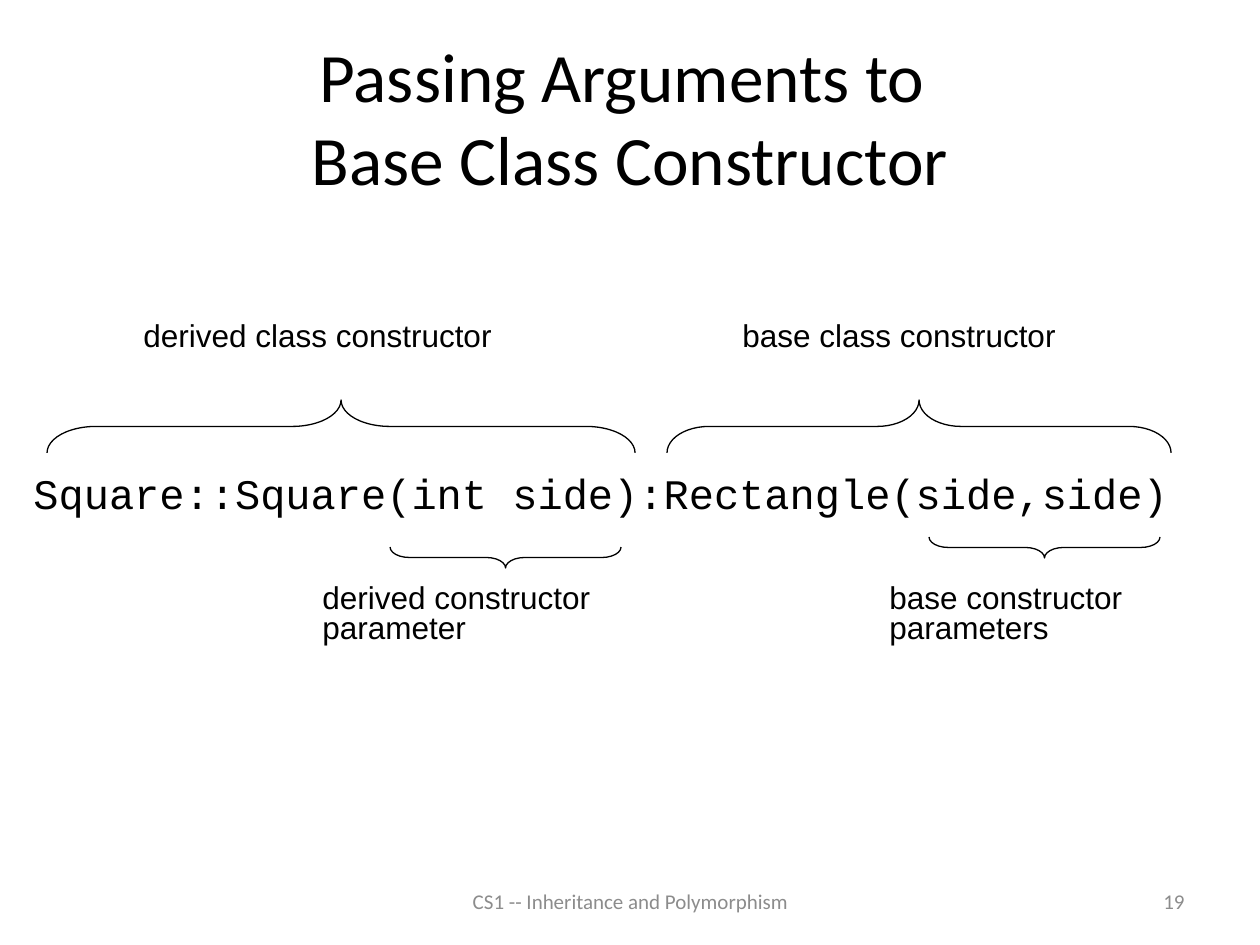
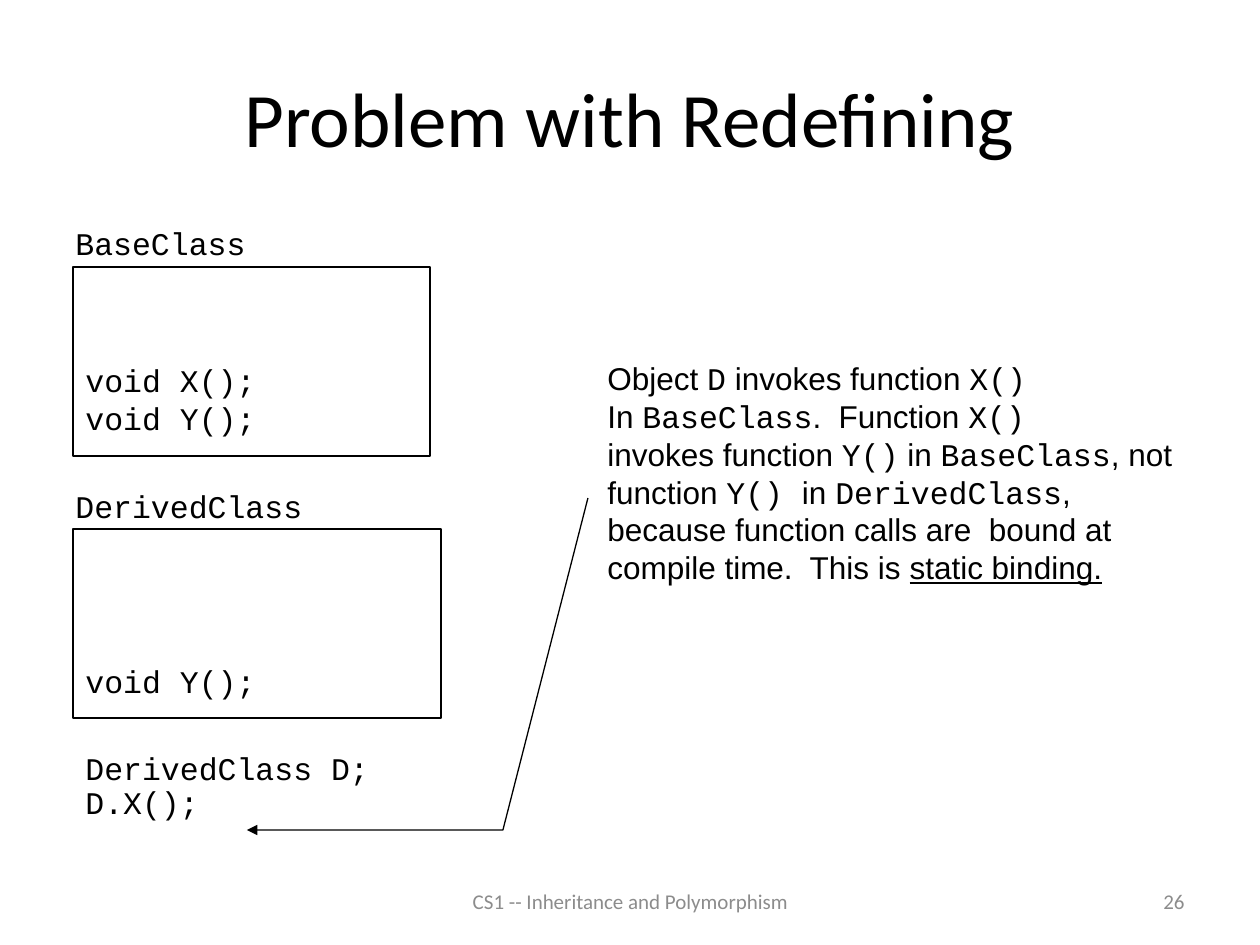
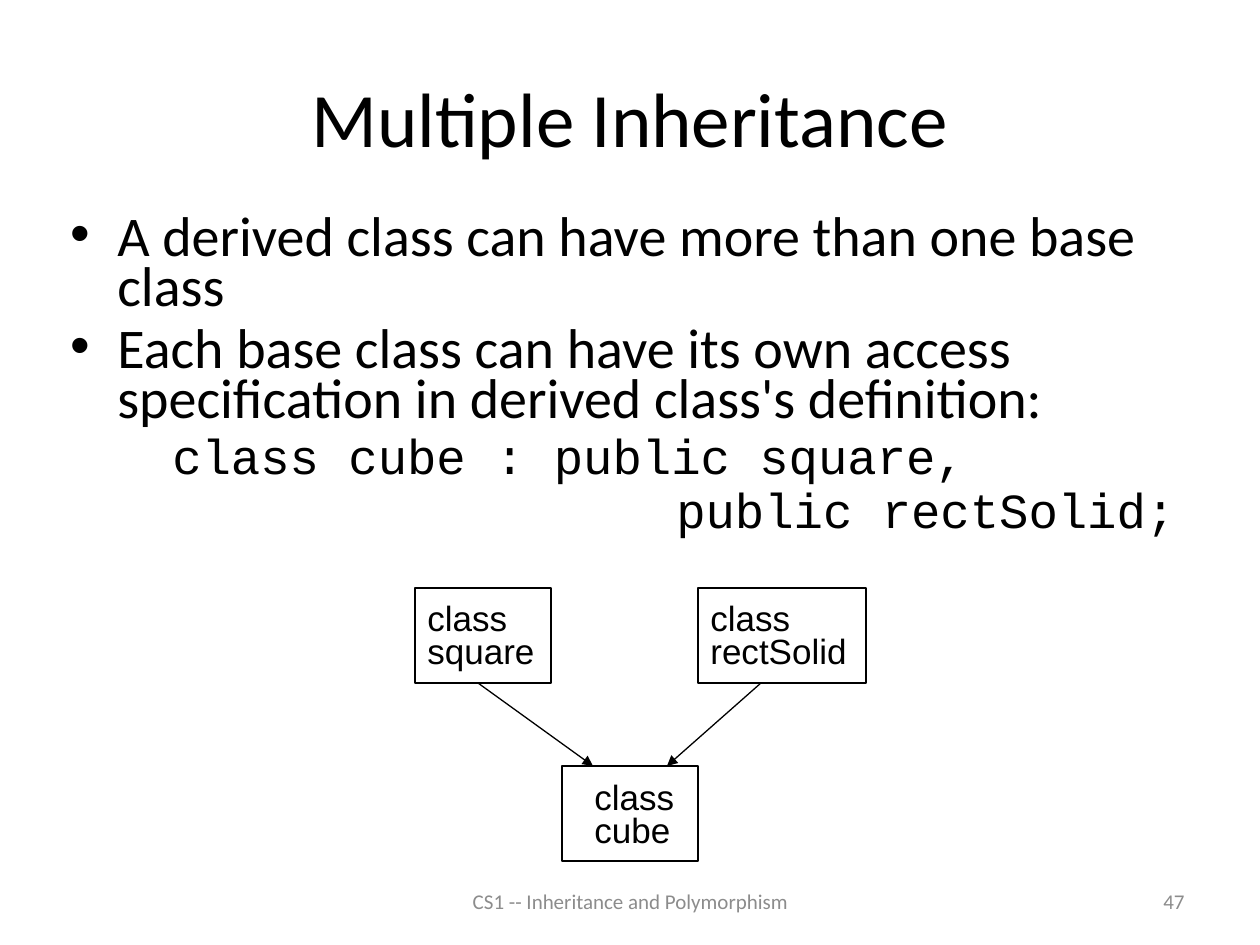
"""Build three slides on inheritance and polymorphism."""
from lxml import etree
from pptx import Presentation
from pptx import util as u
from pptx.dml.color import RGBColor
from pptx.enum import shapes, text
from pptx.oxml.ns import qn

SCALE = 914400 / 126
BLACK = RGBColor(0, 0, 0)
GRAY = RGBColor(0x8C, 0x8C, 0x8C)
BODY, LABEL, MONO = "Calibri", "Arial", "Courier New"
CODE = {"font": MONO}
UNDERLINED = {"underline": True}
LEFT, CENTER, RIGHT = text.PP_ALIGN.LEFT, text.PP_ALIGN.CENTER, text.PP_ALIGN.RIGHT

FOOTER = "CS1 -- Inheritance and Polymorphism"
TITLES = [
    ("Passing Arguments to \nBase Class Constructor", 39.6, 19),
    ("Problem with Redefining", 44, 26),
    ("Multiple Inheritance", 44, 47),
]

SIGNATURE = "Square::Square(int side):Rectangle(side,side)"
CONSTRUCTOR_LABELS = [
    ("derived class constructor", (131, 310, 490, 63)),
    ("base class constructor", (730, 310, 444, 63)),
]
PARAMETER_LABELS = [
    ("derived constructor parameter", (310, 579, 420, 93)),
    ("base constructor parameters", (877, 579, 347, 93)),
]
BRACES = [
    ("LEFT_BRACE", (47, 400, 588, 53)),
    ("LEFT_BRACE", (667, 400, 504, 53)),
    ("RIGHT_BRACE", (390, 547, 231, 21)),
    ("RIGHT_BRACE", (929, 537, 231, 21)),
]

CLASS_FRAMES = [(73, 267, 357, 189), (73, 529, 368, 189)]
CODE_BLOCKS = [
    (["BaseClass"], (63, 218, 252, 63), 1),
    (["DerivedClass"], (63, 481, 328, 63), 1),
    (["void X();", "void Y();"], (73, 355, 252, 113), 1),
    (["void Y();"], (73, 656, 252, 63), 1),
    (["DerivedClass D;", "D.X();"], (73, 747, 403, 103), 0.9),
]
EXPLANATION = [
    [("Object ", {}), ("D", CODE), (" invokes function ", {}), ("X()", CODE)],
    [("In ", {}), ("BaseClass", CODE), (".  Function ", {}), ("X()", CODE)],
    [("invokes function ", {}), ("Y()", CODE), (" in ", {}), ("BaseClass", CODE),
     (", not function ", {}), ("Y() ", CODE), ("in ", {}), ("DerivedClass", CODE), (",", {})],
    [("because function calls are  bound at compile time.  This is ", {}),
     ("static binding.", UNDERLINED)],
]
BINDING_PATH = [(588, 498), (503, 830), (247, 830)]

BULLETS = [
    "A derived class can have more than one base class",
    "Each base class can have its own access specification in derived class's definition:",
]
DECLARATION = [("class cube : public square,", 102, 6), ("public rectSolid;", 606, 5.6)]
CLASS_BOXES = [
    (["class", "square"], (415, 588, 136, 95), (415, 598, 140, 81)),
    (["class", "rectSolid"], (698, 588, 168, 95), (698, 598, 174, 81)),
    (["class", "cube"], (562, 766, 136, 95), (582, 777, 112, 81)),
]
INHERITANCE_ARROWS = [((478, 683), (593, 766)), ((761, 683), (667, 766))]


def px(value):
    return u.Emu(round(value * SCALE))


def add_paragraph(paragraph, content, font=BODY, size=18, color=BLACK, align=LEFT,
                  spacing=1, before=0, margin=0, bullet=False):
    paragraph.alignment = align
    paragraph.line_spacing = spacing
    paragraph.space_before = u.Pt(before)
    properties = paragraph._p.get_or_add_pPr()
    properties.set("marL", str(px(margin)))
    properties.set("indent", str(-px(margin) if bullet else 0))
    if bullet:
        etree.SubElement(properties, qn("a:buFont")).set("typeface", LABEL)
        etree.SubElement(properties, qn("a:buChar")).set("char", "•")
    runs = [(content, {})] if isinstance(content, str) else content
    for words, changes in runs:
        for index, line in enumerate(words.split("\n")):
            if index:
                paragraph.add_line_break()
            run = paragraph.add_run()
            run.text = line
            run.font.name = changes.get("font", font)
            run.font.size = u.Pt(size)
            run.font.color.rgb = color
            if changes.get("underline"):
                run.font.underline = True


def add_text(slide, paragraphs, box, wrap=True, grow=False, middle=False, **style):
    frame = slide.shapes.add_textbox(*map(px, box)).text_frame
    frame.word_wrap = wrap
    frame.auto_size = text.MSO_AUTO_SIZE.SHAPE_TO_FIT_TEXT if grow else text.MSO_AUTO_SIZE.NONE
    frame.vertical_anchor = text.MSO_ANCHOR.MIDDLE if middle else text.MSO_ANCHOR.TOP
    for index, content in enumerate(paragraphs):
        paragraph = frame.add_paragraph() if index else frame.paragraphs[0]
        add_paragraph(paragraph, content, **style)
    return frame


def outline(shape):
    shape.shadow.inherit = False
    shape.fill.background()
    shape.line.color.rgb = BLACK
    shape.line.width = u.Pt(0.75)


def add_frame(slide, box):
    outline(slide.shapes.add_shape(shapes.MSO_SHAPE.RECTANGLE, *map(px, box)))


def add_brace(slide, kind, box):
    left, top, width, height = box
    shift = (width - height) / 2
    upright = (left + shift, top - shift, height, width)
    brace = slide.shapes.add_shape(getattr(shapes.MSO_SHAPE, kind), *map(px, upright))
    brace.rotation = 90
    brace.adjustments[0] = round(width / height / 12, 2)
    outline(brace)


def add_arrowhead(shape):
    line = shape.line._get_or_add_ln()
    etree.SubElement(line, qn("a:tailEnd")).set("type", "triangle")


def add_arrow(slide, start, end):
    arrow = slide.shapes.add_connector(
        shapes.MSO_CONNECTOR.STRAIGHT, *map(px, start + end))
    arrow.line.color.rgb = BLACK
    arrow.line.width = u.Pt(0.75)
    add_arrowhead(arrow)
    etree.SubElement(arrow._element.spPr, qn("a:effectLst"))


def add_base_slide(presentation, title, size, number):
    slide = presentation.slides.add_slide(presentation.slide_layouts[6])
    add_text(slide, [title], (63, 38, 1134, 157), middle=True, size=size, align=CENTER)
    for content, box, align in [(FOOTER, (431, 876, 399, 50), CENTER),
                                (str(number), (903, 876, 294, 50), RIGHT)]:
        add_text(slide, [content], box, middle=True, size=12, color=GRAY, align=align)
    return slide


def fill_constructor_slide(slide):
    add_text(slide, [SIGNATURE], (21, 469, 1202, 63), font=MONO, size=24,
             spacing=0.85, before=5.6)
    for kind, box in BRACES:
        add_brace(slide, kind, box)
    for label, box in CONSTRUCTOR_LABELS:
        add_text(slide, [label], box, wrap=False, grow=True, font=LABEL)
    for label, box in PARAMETER_LABELS:
        add_text(slide, [label], box, grow=True, font=LABEL, spacing=0.8)


def fill_redefining_slide(slide):
    for box in CLASS_FRAMES:
        add_frame(slide, box)
    for lines, box, spacing in CODE_BLOCKS:
        add_text(slide, lines, box, wrap=False, grow=True, font=MONO, spacing=spacing)
    add_text(slide, EXPLANATION, (595, 353, 602, 242), grow=True, font=LABEL)
    start, *rest = BINDING_PATH
    builder = slide.shapes.build_freeform(*start, scale=SCALE)
    builder.add_line_segments(rest, close=False)
    path_shape = builder.convert_to_shape()
    outline(path_shape)
    add_arrowhead(path_shape)


def fill_multiple_slide(slide):
    frame = add_text(slide, BULLETS, (58, 210, 1144, 315), size=32, spacing=0.75,
                     before=6.4, margin=47, bullet=True)
    for line, margin, before in DECLARATION:
        add_paragraph(frame.add_paragraph(), line, font=MONO, size=28, spacing=0.75,
                      before=before, margin=margin)
    for lines, box, label_box in CLASS_BOXES:
        add_frame(slide, box)
        add_text(slide, lines, label_box, wrap=False, grow=True, font=LABEL,
                 size=20, spacing=0.8)
    for start, end in INHERITANCE_ARROWS:
        add_arrow(slide, start, end)


presentation = Presentation()
presentation.slide_width, presentation.slide_height = px(1260), px(945)
FILLERS = [fill_constructor_slide, fill_redefining_slide, fill_multiple_slide]
for heading, fill_slide in zip(TITLES, FILLERS):
    fill_slide(add_base_slide(presentation, *heading))
presentation.save("out.pptx")
